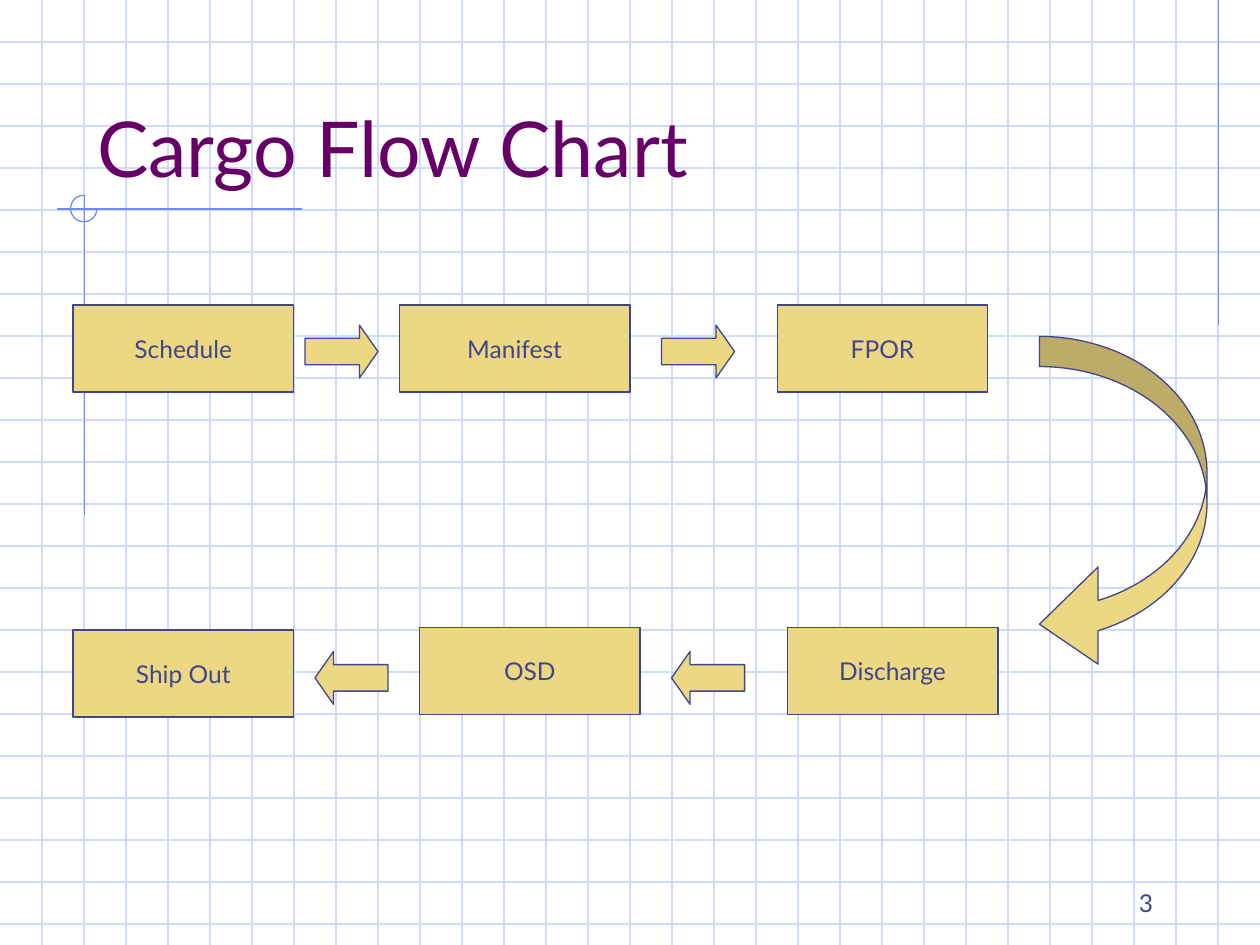
from pptx import Presentation
from pptx import util as u
from pptx.dml import color
from pptx.enum import shapes, text
from pptx.oxml import ns, xmlchemy

GRID, ACCENT, INK, GOLD, PLUM = "CFDBFD", "6F89F7", "40458C", "ECD882", "660066"
FONT = "Lato"
HAIRLINE = u.Pt(0.75)


def rgb(value):
    """Turn a hex string into a colour."""
    return color.RGBColor.from_string(value)


def apply(target, values):
    """Set each attribute of target from a dict of format values."""
    for name, value in values.items():
        setattr(target, name, value)


def write(frame, wording, size, ink, **layout):
    """Write one formatted line of text into a frame."""
    align = layout.pop("alignment", text.PP_ALIGN.LEFT)
    apply(frame, layout)
    paragraph = frame.paragraphs[0]
    paragraph.alignment = align
    run = paragraph.add_run()
    run.text = wording
    apply(run.font, {"size": u.Pt(size), "name": FONT})
    run.font.color.rgb = rgb(ink)


def rule(slide, x1, y1, x2, y2, ink):
    """Draw a thin straight line without shadow."""
    ends = [u.Inches(value) for value in (x1, y1, x2, y2)]
    line = slide.shapes.add_connector(shapes.MSO_CONNECTOR.STRAIGHT, *ends)
    line.line.color.rgb = rgb(ink)
    line.line.width = HAIRLINE
    properties = line._element.find(ns.qn("p:spPr"))
    properties.append(xmlchemy.OxmlElement("a:effectLst"))


def outlined(slide, kind, box, ink, fill=None, adjustments=()):
    """Add a preset shape with a thin outline and an optional fill."""
    shape = slide.shapes.add_shape(kind, *map(u.Inches, box))
    shape.shadow.inherit = False
    shape.line.color.rgb = rgb(ink)
    shape.line.width = HAIRLINE
    if fill:
        shape.fill.solid()
        shape.fill.fore_color.rgb = rgb(fill)
    else:
        shape.fill.background()
    for index, value in enumerate(adjustments):
        shape.adjustments[index] = value
    return shape


def graph_paper(slide, width, height):
    """Cover the page with a grid of three squares to the inch."""
    for row in range(1, int(height * 3) + 1):
        rule(slide, 0, row / 3, width, row / 3, GRID)
    for column in range(1, int(width * 3)):
        rule(slide, column / 3, 0, column / 3, height, GRID)


def corner_marks(slide, x, y, right):
    """Draw the crossed lines with their ring at (x, y) and the line at the right."""
    rule(slide, right, 0, right, 2.58, ACCENT)
    rule(slide, x + 1.73, y, x - 0.22, y, ACCENT)
    rule(slide, x, y - 0.11, x, y + 2.43, ACCENT)
    ring = (x - 0.11, y - 0.11, 0.21, 0.21)
    outlined(slide, shapes.MSO_SHAPE.ARC, ring, ACCENT, adjustments=(0, 162))


def heading(slide, wording, box):
    """Place the title placeholder in front of the grid."""
    title = slide.shapes.title
    slide.shapes._spTree.append(title._element)
    apply(title, dict(zip(("left", "top", "width", "height"), map(u.Inches, box))))
    write(title.text_frame, wording, 44, PLUM, word_wrap=True,
          auto_size=text.MSO_AUTO_SIZE.NONE, vertical_anchor=text.MSO_ANCHOR.BOTTOM)


def flow_row(slide, top, steps, arrow, arrow_top, arrow_lefts):
    """Draw a row of process steps and the block arrows between them."""
    for wording, left, width, drop in steps:
        step = outlined(slide, shapes.MSO_SHAPE.FLOWCHART_PROCESS,
                        (left, top + drop, width, 0.69), INK, GOLD)
        write(step.text_frame, wording, 14, INK, word_wrap=False,
              vertical_anchor=text.MSO_ANCHOR.MIDDLE,
              alignment=text.PP_ALIGN.CENTER)
    for left in arrow_lefts:
        outlined(slide, arrow, (left, arrow_top, 0.58, 0.42), INK, GOLD, (0.5, 0.35))


def flow_chart(slide, left, top):
    """Draw both rows of the flow and the curved arrow that joins them."""
    flow_row(slide, top,
             [("Schedule", left, 1.75, 0), ("Manifest", left + 2.59, 1.83, 0),
              ("FPOR", left + 5.59, 1.67, 0)],
             shapes.MSO_SHAPE.RIGHT_ARROW, top + 0.16, (left + 1.84, left + 4.67))
    flow_row(slide, top + 2.56,
             [("Discharge", left + 5.67, 1.67, 0), ("OSD", left + 2.75, 1.75, 0),
              ("Ship Out", left, 1.75, 0.02)],
             shapes.MSO_SHAPE.LEFT_ARROW, top + 2.75, (left + 4.75, left + 1.92))
    outlined(slide, shapes.MSO_SHAPE.CURVED_LEFT_ARROW,
             (left + 7.67, top + 0.25, 1.33, 2.67), INK, GOLD, (0.18, 0.58, 0.35))


def page_number(slide, number, box):
    """Write the page number at the lower right."""
    label = slide.shapes.add_textbox(*map(u.Inches, box))
    write(label.text_frame, number, 14, INK, word_wrap=True,
          vertical_anchor=text.MSO_ANCHOR.BOTTOM, alignment=text.PP_ALIGN.RIGHT)


def main():
    """Build the slide and save it."""
    deck = Presentation()
    apply(deck, {"slide_width": u.Inches(10), "slide_height": u.Inches(7.5)})
    slide = deck.slides.add_slide(deck.slide_layouts[5])
    graph_paper(slide, 10, 7.5)
    corner_marks(slide, 0.67, 1.66, 9.67)
    heading(slide, "Cargo Flow Chart", (0.67, 0.33, 8.5, 1.25))
    flow_chart(slide, 0.58, 2.42)
    page_number(slide, "3", (7.17, 6.83, 2.08, 0.5))
    deck.save("out.pptx")


if __name__ == "__main__":
    main()
